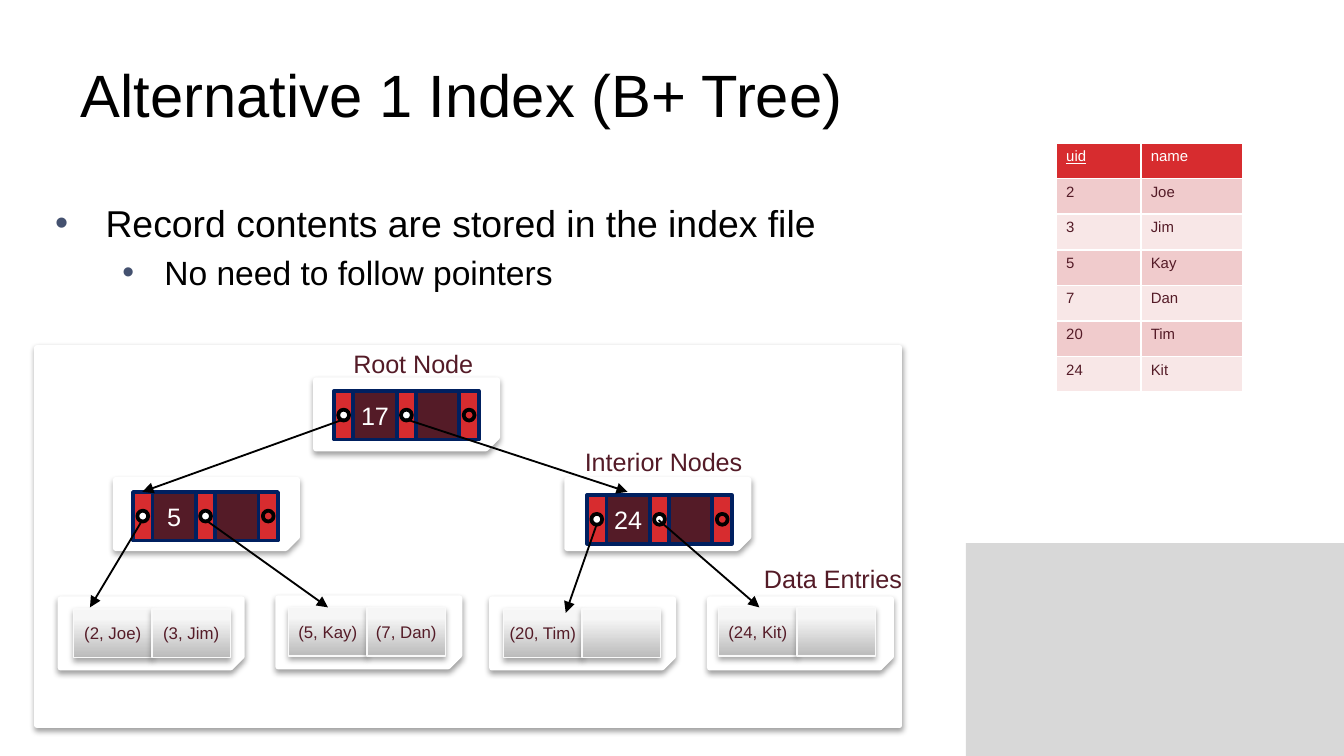
from lxml import etree
from pptx import Presentation
from pptx.dml.color import RGBColor
from pptx.enum.shapes import MSO_CONNECTOR, MSO_SHAPE
from pptx.enum.text import MSO_ANCHOR, MSO_AUTO_SIZE, PP_ALIGN
from pptx.oxml import parse_xml
from pptx.oxml.ns import nsdecls, qn
from pptx.util import Pt

COLORS = {
    "black": "000000", "white": "FFFFFF", "gray": "D8D8D8", "maroon": "541B27",
    "red": "D72C2F", "navy": "002060", "bullet": "44516F",
    "band_dark": "F0CBCC", "band_light": "F8E7E7",
    "entry_dark": "BBBBBB", "entry_light": "F6F6F6", "entry_line": "F9F9F9",
}


def rgb(name):
    return RGBColor.from_string(COLORS[name])


def write_text(paragraph, text, size=13.5, color="maroon", align=PP_ALIGN.LEFT, underline=None):
    paragraph.alignment = align
    run = paragraph.add_run()
    run.text = text
    run.font.name = "Arial"
    run.font.size = Pt(size)
    run.font.color.rgb = rgb(color)
    run.font.underline = underline


def add_box(box, fill=None, line=None, width=2, shadow=None, kind=MSO_SHAPE.RECTANGLE):
    shape = slide.shapes.add_shape(kind, *map(Pt, box))
    shape.shadow.inherit = False
    if fill:
        shape.fill.solid()
        shape.fill.fore_color.rgb = rgb(fill)
    else:
        shape.fill.background()
    if line:
        shape.line.color.rgb = rgb(line)
        shape.line.width = Pt(width)
    else:
        shape.line.fill.background()
    if shadow:
        alpha, distance = shadow
        shape._element.spPr.find(qn("a:effectLst")).append(parse_xml(
            f'<a:outerShdw {nsdecls("a")} blurRad="{Pt(3.1)}" dist="{Pt(distance)}" '
            f'dir="5400000" rotWithShape="0"><a:srgbClr val="{COLORS["black"]}">'
            f'<a:alpha val="{alpha * 1000}"/></a:srgbClr></a:outerShdw>'))
    frame = shape.text_frame
    frame.margin_left = frame.margin_right = 0
    frame.margin_top = frame.margin_bottom = Pt(2.7)
    frame.vertical_anchor = MSO_ANCHOR.MIDDLE
    return shape


presentation = Presentation()
presentation.slide_width, presentation.slide_height = Pt(720), Pt(405)
slide = presentation.slides.add_slide(presentation.slide_layouts[1])
add_box((517.5, 291, 202.5, 114), "gray")

title = slide.shapes.title
title.left, title.top, title.width, title.height = map(Pt, (36, 16.5, 648, 67.7))
title.text_frame.auto_size = MSO_AUTO_SIZE.NONE
title.text_frame.vertical_anchor = MSO_ANCHOR.MIDDLE
write_text(title.text_frame.paragraphs[0], "Alternative 1 Index (B+ Tree)", size=32, color="black")

body = slide.placeholders[1]
body.left, body.top, body.width, body.height = map(Pt, (22.3, 103.7, 648, 267))
body.text_frame.auto_size = MSO_AUTO_SIZE.NONE
bullets = [
    ("Record contents are stored in the index file", 20, 27, -27, 0),
    ("No need to follow pointers", 18, 58.5, -22.5, 3.6),
]
for level, (text, size, margin, indent, space) in enumerate(bullets):
    paragraph = body.text_frame.add_paragraph() if level else body.text_frame.paragraphs[0]
    write_text(paragraph, text, size=size, color="black")
    paragraph.level = level
    paragraph.space_before = Pt(space)
    properties = paragraph._p.get_or_add_pPr()
    properties.set("marL", str(Pt(margin)))
    properties.set("indent", str(Pt(indent)))
    bullet_color = etree.SubElement(properties, qn("a:buClr"))
    etree.SubElement(bullet_color, qn("a:srgbClr"), val=COLORS["bullet"])
    etree.SubElement(properties, qn("a:buFont"), typeface="Arial")
    etree.SubElement(properties, qn("a:buChar"), char="•")

CARD_SHADOW, ENTRY_SHADOW = (36, 1.6), (34, 1.8)
add_box((20, 186.2, 462, 202.5), "white", "white", 3, CARD_SHADOW)

cards = [(62, 257), (303.8, 257), (169.2, 203.6), (149, 320.4),
         (263.5, 321), (380.2, 321), (32.4, 321)]
for left, top in cards:
    add_box((left, top, 97.2, 36.7), "white", "white", 3, CARD_SHADOW, MSO_SHAPE.FOLDED_CORNER)

POINTER, KEY, HEIGHT = 10.4, 23.2, 26
nodes = [("17", 178.9, 209.5), ("5", 71.3, 263.6), ("24", 314.5, 265.3)]
for key, left, top in nodes:
    for slot in range(3):
        x = left + slot * (POINTER + KEY)
        if slot < 2:
            shape = add_box((x + POINTER, top, KEY, HEIGHT), "maroon", "navy")
            if slot == 0:
                write_text(shape.text_frame.paragraphs[0], key, color="white", align=PP_ALIGN.CENTER)
        add_box((x, top, POINTER, HEIGHT), "red", "navy")
        add_box((x + 2.3, top + 10, 5.8, 5.8), "white" if slot < 2 else None, "black",
                kind=MSO_SHAPE.OVAL)

leaves = [("(2, Joe)", "(3, Jim)"), ("(5, Kay)", "(7, Dan)"), ("(20, Tim)", ""), ("(24, Kit)", "")]
for index, entries in enumerate(leaves):
    for slot, entry in enumerate(entries):
        left, top = 39.4 + index * 115.2 + slot * 42, 326.2 - index % 2 * 0.7
        shape = add_box((left, top, 42, HEIGHT), "entry_light", "entry_line", 0.75, ENTRY_SHADOW)
        shape.fill.gradient()
        shape.fill.gradient_angle = 90
        for stop, (position, color) in zip(shape.fill.gradient_stops,
                                           [(0, "entry_dark"), (0.8, "entry_light")]):
            stop.position = position
            stop.color.rgb = rgb(color)
        if entry:
            write_text(shape.text_frame.paragraphs[0], entry, size=9, align=PP_ALIGN.CENTER)

arrows = [
    (319.7, 280.8, 303.1, 328.3), (110.2, 278.6, 175.7, 325.4),
    (76.3, 278.6, 48.2, 325.4), (352.8, 278.6, 406.8, 325.4),
    (184.3, 224.6, 76.3, 263.5), (217.4, 224.6, 336.2, 263.5),
]
for ends in arrows:
    arrow = slide.shapes.add_connector(MSO_CONNECTOR.STRAIGHT, *map(Pt, ends))
    arrow.line.color.rgb = rgb("black")
    arrow.line.width = Pt(1)
    etree.SubElement(arrow.line._get_or_add_ln(), qn("a:tailEnd"), type="triangle")
    etree.SubElement(arrow._element.spPr, qn("a:effectLst"))

labels = [("Root Node", 182.2, 182.9, 92), ("Data Entries", 402.2, 298.4, 94),
          ("Interior Nodes", 306.2, 235.8, 104)]
for text, left, top, width in labels:
    label = slide.shapes.add_textbox(Pt(left), Pt(top), Pt(width), Pt(23.8))
    label.text_frame.word_wrap = True
    write_text(label.text_frame.paragraphs[0], text)

records = [("uid", "name"), ("2", "Joe"), ("3", "Jim"), ("5", "Kay"),
           ("7", "Dan"), ("20", "Tim"), ("24", "Kit")]
ROW = 19.1
table = slide.shapes.add_table(len(records), 2, Pt(566), Pt(76.6), Pt(100), Pt(ROW * 7)).table
table.columns[0].width, table.columns[1].width = Pt(45.3), Pt(54.4)
for row, record in enumerate(records):
    table.rows[row].height = Pt(ROW)
    for column, value in enumerate(record):
        cell = table.cell(row, column)
        cell.margin_left = cell.margin_right = Pt(5.2)
        cell.margin_top = cell.margin_bottom = Pt(2.6)
        cell.fill.solid()
        cell.fill.fore_color.rgb = rgb(("band_dark" if row % 2 else "band_light") if row else "red")
        write_text(cell.text_frame.paragraphs[0], value, size=8,
                   color="maroon" if row else "white", underline=value == "uid" or None)

presentation.save("out.pptx")
